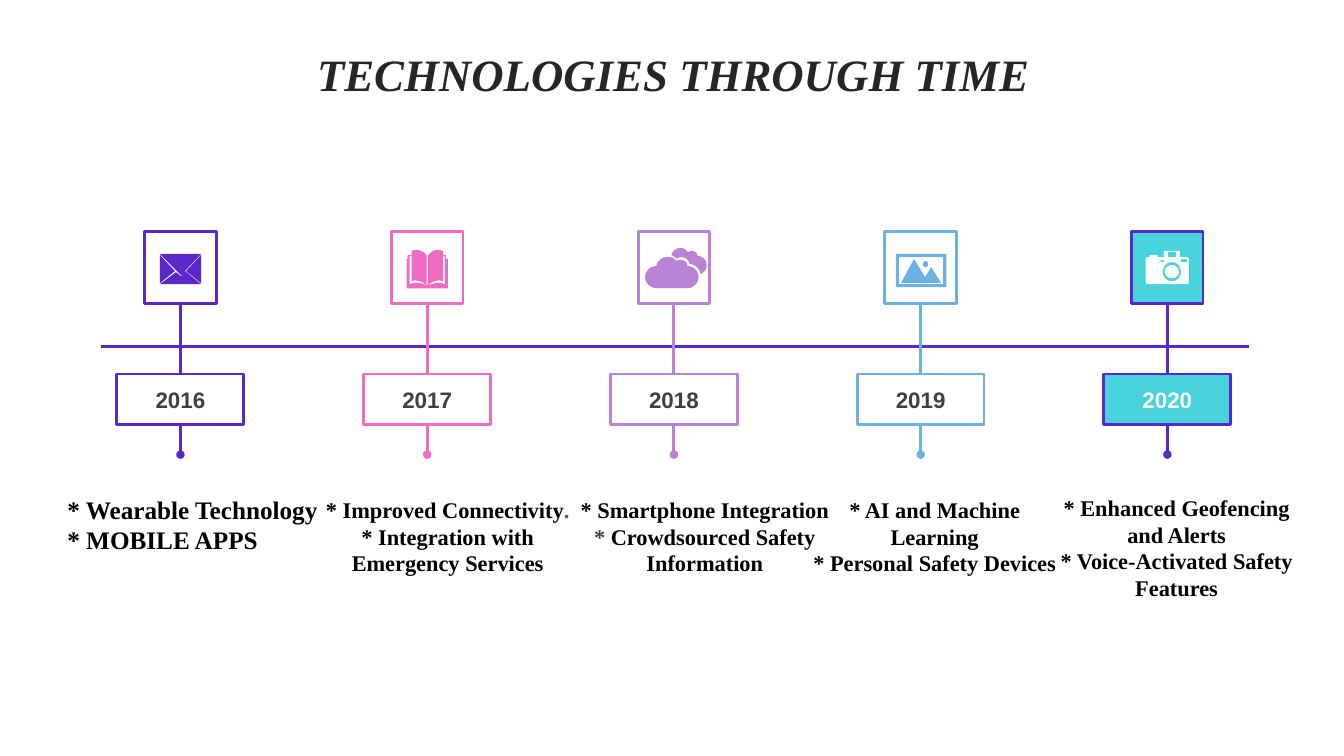
from dataclasses import dataclass
from typing import NamedTuple

from lxml import etree
from pptx import Presentation
from pptx.dml.color import RGBColor
from pptx.enum.shapes import MSO_CONNECTOR, MSO_SHAPE
from pptx.enum.text import MSO_ANCHOR, MSO_AUTO_SIZE, PP_ALIGN
from pptx.oxml.ns import qn
from pptx.util import Inches, Pt

RECTANGLE = MSO_SHAPE.RECTANGLE
STRAIGHT = MSO_CONNECTOR.STRAIGHT
MIDDLE = MSO_ANCHOR.MIDDLE
GROW = MSO_AUTO_SIZE.SHAPE_TO_FIT_TEXT
LEFT, CENTER = PP_ALIGN.LEFT, PP_ALIGN.CENTER

VIOLET = RGBColor(0x5A, 0x28, 0xC8)
PINK = RGBColor(0xEE, 0x6C, 0xC1)
LILAC = RGBColor(0xB9, 0x82, 0xD5)
SKY = RGBColor(0x6D, 0xB0, 0xE4)
TURQUOISE = RGBColor(0x47, 0xD3, 0xDC)
WHITE = RGBColor(0xFF, 0xFF, 0xFF)
BLACK = RGBColor(0x00, 0x00, 0x00)
TITLE_GREY = RGBColor(0x26, 0x26, 0x26)
DARK_GREY = RGBColor(0x40, 0x40, 0x40)
MID_GREY = RGBColor(0x59, 0x59, 0x59)

SERIF, SANS = "Times New Roman", "Arial"

# Grid, in inches: equal columns, shared rows
FIRST_CENTER, COLUMN_STEP = 1.79, 2.447
ICON_TOP, ICON_SIDE = 2.3, 0.71
AXIS_ROW, AXIS_LEFT, AXIS_RIGHT = 3.44, 1.0, 12.39
YEAR_TOP, YEAR_WIDTH, YEAR_HEIGHT = 3.71, 1.26, 0.5
STEM_END = 4.51
LINE_WIDTH = 2

# Icon outlines, in hundredths of an inch from the frame's corner
ENVELOPE = """M 40 39 L 56 52 L 15 52 L 31 40 L 36 44
M 56 23 L 56 51 L 41 39 M 15 23 L 30 39 L 15 51 M 15 22 L 56 22 L 36 43"""
BOOK = """M 35 53 L 36 53 C 43 51 46 49 53 52 L 53 24 L 51 24 L 51 49
C 46 47 41 49 36 53 L 36 24 C 39 20 42 18 45 18 C 47 18 49 18 51 19
L 51 23 L 54 23 L 54 27 L 56 27 L 56 56 L 15 56 L 15 27 L 16 27 L 16 23
L 20 23 L 20 19 C 22 18 24 18 25 18 C 29 18 32 20 35 23 L 35 53
C 30 49 24 47 20 49 L 20 24 L 18 24 L 18 52 C 25 49 29 51 35 53"""
CLOUDS = """M 29 25 C 33 25 36 26 38 29 C 39 28 40 28 42 28
C 46 28 49 30 49 34 C 55 34 60 39 60 45 C 60 50 56 55 50 56 L 19 56
C 12 56 7 51 7 45 C 7 39 12 34 18 34 C 19 29 24 25 29 25
M 42 16 C 45 16 48 18 49 20 C 50 20 52 19 53 19 C 56 19 59 21 59 24
C 64 24 68 28 68 33 C 68 37 66 40 62 42 C 61 36 56 32 51 32
C 50 28 47 25 43 25 C 41 25 39 26 38 27 C 37 25 35 24 33 23
C 34 19 38 16 42 16"""
LANDSCAPE = """M 40 29 C 42 29 43 31 43 32 C 43 34 42 35 40 35
C 39 35 38 34 38 32 C 38 31 39 29 40 29
M 29 27 L 40 45 L 46 35 L 56 51 L 16 51
M 14 25 L 14 52 L 58 52 L 58 25 M 11 22 L 61 22 L 61 55 L 11 55"""
CAMERA = """M 40 33 C 44 33 47 36 47 40 C 47 43 44 46 40 46
C 36 46 33 43 33 40 C 33 36 36 33 40 33
M 40 30 C 35 30 31 34 31 40 C 31 45 35 49 40 49
C 45 49 49 45 49 40 C 49 34 45 30 40 30
M 29 28 L 29 30 L 32 30 L 32 28 M 49 27 L 49 30 L 55 30 L 55 27
M 36 20 L 36 25 L 44 25 L 44 20
M 34 19 L 46 19 C 47 19 48 19 48 20 L 48 25 L 54 25 C 56 25 57 26 57 28
L 57 49 C 57 51 56 52 54 52 L 17 52 C 15 52 14 51 14 49 L 14 28
C 14 26 15 25 17 25 L 18 25 L 18 23 L 26 23 L 26 25 L 32 25 L 32 20
C 32 19 33 19 34 19"""


class Span(NamedTuple):
    text: str
    color: RGBColor = BLACK


class Note(NamedTuple):
    left: float
    top: float
    paragraphs: list[list[Span]]
    width: float = 2.68
    height: float = 0.91
    size: int = 16
    align: PP_ALIGN = CENTER


@dataclass
class Milestone:
    year: str
    color: RGBColor
    icon: str
    note: Note
    fill: RGBColor = WHITE
    icon_color: RGBColor | None = None
    year_color: RGBColor = DARK_GREY


MILESTONES = [
    Milestone("2016", VIOLET, ENVELOPE, Note(
        0.57, 4.85, [[Span("* Wearable Technology")], [Span("* MOBILE APPS")]],
        width=2.76, height=0.71, size=18, align=LEFT)),
    Milestone("2017", PINK, BOOK, Note(
        3.1, 4.87, [[Span("* Improved Connectivity"), Span(".", MID_GREY)],
                    [Span("* Integration with Emergency Services")]])),
    Milestone("2018", LILAC, CLOUDS, Note(
        5.65, 4.87, [[Span("* Smartphone Integration")],
                     [Span("* ", DARK_GREY), Span("Crowdsourced Safety Information")]])),
    Milestone("2019", SKY, LANDSCAPE, Note(
        7.93, 4.87, [[Span("* AI and Machine Learning")],
                     [Span("* Personal Safety Devices")]])),
    Milestone("2020", VIOLET, CAMERA, Note(
        10.33, 4.85, [[Span("* Enhanced Geofencing and Alerts")],
                      [Span("* Voice-Activated Safety Features")]], height=1.18),
        fill=TURQUOISE, icon_color=WHITE, year_color=WHITE),
]


def style_font(font, name: str, size: int, color: RGBColor) -> None:
    font.name, font.size, font.bold = name, Pt(size), True
    font.color.rgb = color


def add_line(page, start: tuple, end: tuple, color: RGBColor, dot: bool = False) -> None:
    line = page.shapes.add_connector(STRAIGHT, *map(Inches, start + end))
    line.line.color.rgb, line.line.width = color, Pt(LINE_WIDTH)
    if dot:
        etree.SubElement(line.line._get_or_add_ln(), qn("a:tailEnd"), type="oval")
    etree.SubElement(line._element.spPr, qn("a:effectLst"))


def add_frame(page, center: float, top: float, width: float, height: float, item: Milestone):
    frame = page.shapes.add_shape(
        RECTANGLE, *map(Inches, (center - width / 2, top, width, height)))
    frame.shadow.inherit = False
    frame.fill.solid()
    frame.fill.fore_color.rgb = item.fill
    frame.line.color.rgb, frame.line.width = item.color, Pt(LINE_WIDTH)
    return frame


def trace(outline: str) -> list[list[tuple]]:
    """Turn move, line and curve commands into contours of points."""
    contours, tokens = [], iter(outline.split())
    for command in tokens:
        count = 3 if command == "C" else 1
        points = [(int(next(tokens)), int(next(tokens))) for _ in range(count)]
        if command == "M":
            contours.append(points)
        elif command == "L":
            contours[-1] += points
        else:
            corners = [contours[-1][-1], *points]
            for step in range(1, 9):
                t = step / 8
                weights = ((1 - t) ** 3, 3 * t * (1 - t) ** 2, 3 * t * t * (1 - t), t ** 3)
                contours[-1].append(tuple(
                    sum(w * corner[axis] for w, corner in zip(weights, corners))
                    for axis in (0, 1)))
    return contours


def add_icon(page, left: float, top: float, outline: str, color: RGBColor) -> None:
    contours = [[(x * 100, y * 100) for x, y in contour] for contour in trace(outline)]
    builder = page.shapes.build_freeform(*contours[0][0], scale=Inches(1) / 10000)
    for index, contour in enumerate(contours):
        if index:
            builder.move_to(*contour[0])
        builder.add_line_segments(contour[1:], close=True)
    icon = builder.convert_to_shape(Inches(left), Inches(top))
    icon.shadow.inherit = False
    icon.fill.solid()
    icon.fill.fore_color.rgb = color
    icon.line.fill.background()


def add_note(page, note: Note) -> None:
    box = page.shapes.add_textbox(
        *map(Inches, (note.left, note.top, note.width, note.height)))
    frame = box.text_frame
    frame.word_wrap, frame.auto_size = True, GROW
    for index, spans in enumerate(note.paragraphs):
        para = frame.add_paragraph() if index else frame.paragraphs[0]
        para.alignment = note.align
        for part in spans:
            span = para.add_run()
            span.text = part.text
            style_font(span.font, SERIF, note.size, part.color)


def add_milestone(page, column: int, item: Milestone) -> None:
    center = FIRST_CENTER + column * COLUMN_STEP
    add_line(page, (center, ICON_TOP + ICON_SIDE), (center, STEM_END), item.color, dot=True)
    add_frame(page, center, ICON_TOP, ICON_SIDE, ICON_SIDE, item)
    add_icon(page, center - ICON_SIDE / 2, ICON_TOP, item.icon, item.icon_color or item.color)
    label = add_frame(page, center, YEAR_TOP, YEAR_WIDTH, YEAR_HEIGHT, item).text_frame
    label.text, label.vertical_anchor = item.year, MIDDLE
    label.paragraphs[0].alignment = CENTER
    style_font(label.paragraphs[0].runs[0].font, SANS, 16, item.year_color)
    add_note(page, item.note)


def add_title(page, text: str) -> None:
    title = page.shapes.title
    title.left, title.top, title.width, title.height = map(Inches, (0.35, 0.37, 12.66, 0.79))
    title.text_frame.text, title.text_frame.vertical_anchor = text, MIDDLE
    para = title.text_frame.paragraphs[0]
    para.alignment, para.line_spacing = CENTER, 0.9
    style_font(para.runs[0].font, SERIF, 32, TITLE_GREY)
    para.runs[0].font.italic = True


def main() -> None:
    deck = Presentation()
    deck.slide_width, deck.slide_height = Inches(13.33), Inches(7.5)
    page = deck.slides.add_slide(deck.slide_layouts.get_by_name("Title Only"))
    add_title(page, "TECHNOLOGIES THROUGH TIME")
    add_line(page, (AXIS_RIGHT, AXIS_ROW), (AXIS_LEFT, AXIS_ROW), VIOLET)
    for column, item in enumerate(MILESTONES):
        add_milestone(page, column, item)
    deck.save("out.pptx")


if __name__ == "__main__":
    main()
